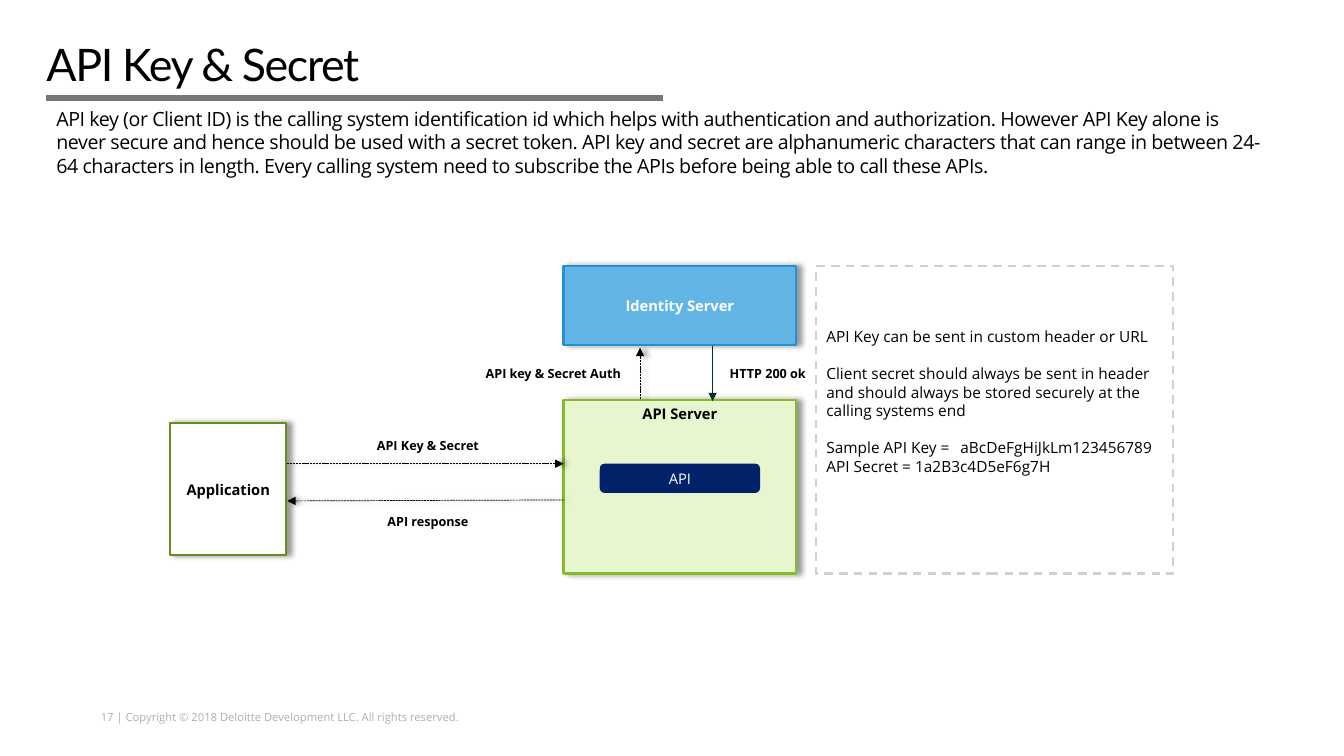
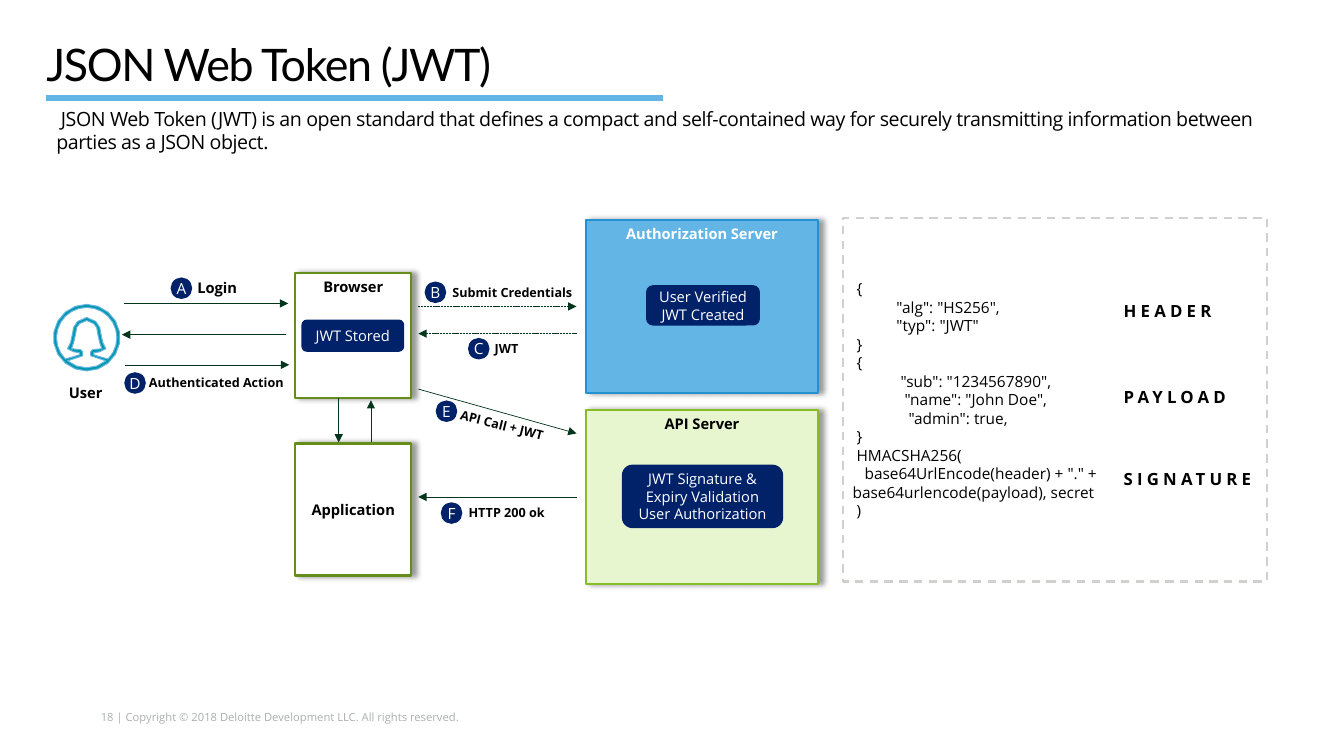
from dataclasses import dataclass
from math import cos, radians, sin

from lxml.etree import SubElement
from pptx import Presentation
from pptx.dml.color import RGBColor
from pptx.enum.dml import MSO_LINE
from pptx.enum.shapes import MSO_CONNECTOR, MSO_SHAPE
from pptx.enum.text import MSO_ANCHOR, PP_ALIGN
from pptx.oxml.ns import qn
from pptx.util import Inches, Pt


@dataclass(frozen=True)
class Theme:
    title_font: str = "Lato"
    body_font: str = "Open Sans"
    black: str = "000000"
    white: str = "FFFFFF"
    grey: str = "75787B"
    footer_grey: str = "ACAEB0"
    frame_grey: str = "D0D0CE"
    blue: str = "62B5E5"
    blue_edge: str = "2392D2"
    navy: str = "012169"
    teal: str = "0097A9"
    mint: str = "E8F6CF"
    green_edge: str = "86BC25"
    olive: str = "658D1C"
    forest: str = "02351C"
    title_size: float = 32
    intro_size: float = 14
    heading_size: float = 12
    note_size: float = 11
    box_size: float = 10.5
    label_size: float = 9
    footer_size: float = 8


T = Theme()
CENTER = PP_ALIGN.CENTER
MIDDLE = MSO_ANCHOR.MIDDLE
TOP = MSO_ANCHOR.TOP
INSETS = (0.1, 0.05, 0.1, 0.05)
FLAT_SIDES = (0, 0.05, 0, 0.05)

CODE = '''\
 {
           "alg": "HS256",
           "typ": "JWT"
 }
 {
            "sub": "1234567890",
             "name": "John Doe",
              "admin": true,
 }
 HMACSHA256(
   base64UrlEncode(header) + "." + base64urlencode(payload), secret
 )'''

NOTES = (
    "API Key can be sent in custom header or URL\n"
    "Client secret should always be sent in header and should always be "
    "stored securely at the calling systems end\n"
    "Sample API Key = \taBcDeFgHiJkLm123456789\n"
    "API Secret = 1a2B3c4D5eF6g7H"
)

API_KEY_INTRO = (
    "API key (or Client ID) is the calling system identification id which helps with "
    "authentication and authorization. However API Key alone is never secure and hence "
    "should be used with a secret token. API key and secret are alphanumeric characters "
    "that can range in between 24-64 characters in length. Every calling system need to "
    "subscribe the APIs before being able to call these APIs."
)

JWT_INTRO = (
    " JSON Web Token (JWT) is an open standard that defines a compact and self-contained "
    "way for securely transmitting information between parties as a JSON object."
)


def rgb(color):
    return RGBColor.from_string(color)


def write(sp, text, size=T.box_size, color=T.black, bold=False, font=T.body_font,
          align=None, anchor=TOP, insets=INSETS, spacing=None, line_spacing=None,
          gaps=(), tab=None):
    tf = sp.text_frame
    tf.word_wrap = True
    tf.vertical_anchor = anchor
    tf.margin_left, tf.margin_top, tf.margin_right, tf.margin_bottom = map(Inches, insets)
    for i, line in enumerate(text.split("\n")):
        p = tf.paragraphs[0] if i == 0 else tf.add_paragraph()
        p.alignment = align or PP_ALIGN.LEFT
        if line_spacing:
            p.line_spacing = line_spacing
        if i in gaps:
            p.space_before = Pt(size * 1.2)
        if tab and "\t" in line:
            tabs = SubElement(p._p.get_or_add_pPr(), qn("a:tabLst"))
            SubElement(tabs, qn("a:tab"), pos=str(Inches(tab)), algn="l")
        r = p.add_run()
        r.text = line
        r.font.name, r.font.size, r.font.bold = font, Pt(size), bold
        r.font.color.rgb = rgb(color)
        if spacing:
            r._r.get_or_add_rPr().set("spc", str(round(spacing * 100)))


def add_text(s, x, y, w, h, text, **fmt):
    sp = s.shapes.add_textbox(Inches(x), Inches(y), Inches(w), Inches(h))
    write(sp, text, **fmt)
    return sp


def add_label(s, x, y, text, w=1.76, **fmt):
    return add_text(s, x, y, w, 0.25, text, **{"size": T.label_size, "bold": True, **fmt})


def cast_shadow(effects):
    shadow = SubElement(effects, qn("a:outerShdw"), blurRad=str(Pt(4)), dist=str(Pt(3)),
                        dir="0", algn="l", rotWithShape="0")
    color = SubElement(shadow, qn("a:srgbClr"), val=T.black)
    SubElement(color, qn("a:alpha"), val="40000")


def paint(sp, fill=None, edge=None, width=1.5, dash=None, shadow=False):
    if fill:
        sp.fill.solid()
        sp.fill.fore_color.rgb = rgb(fill)
    else:
        sp.fill.background()
    if edge:
        sp.line.color.rgb = rgb(edge)
        sp.line.width = Pt(width)
        if dash:
            sp.line.dash_style = dash
    else:
        sp.line.fill.background()
    sp.shadow.inherit = False
    if shadow:
        cast_shadow(sp.element.spPr.find(qn("a:effectLst")))


def add_shape(s, kind, x, y, w, h, **look):
    sp = s.shapes.add_shape(kind, Inches(x), Inches(y), Inches(w), Inches(h))
    paint(sp, **look)
    return sp


def add_node(s, x, y, w, h, text, fill=T.white, edge=T.olive, color=T.black, anchor=TOP):
    sp = add_shape(s, MSO_SHAPE.RECTANGLE, x, y, w, h, fill=fill, edge=edge, shadow=True)
    write(sp, text, color=color, bold=True, align=CENTER, anchor=anchor, insets=FLAT_SIDES)


def add_pill(s, x, y, w, h, text, kind=MSO_SHAPE.FLOWCHART_ALTERNATE_PROCESS):
    sp = add_shape(s, kind, x, y, w, h, fill=T.navy)
    write(sp, text, color=T.white, align=CENTER, anchor=MIDDLE)


def add_frame(s, x, y, w, h, text, **fmt):
    sp = add_shape(s, MSO_SHAPE.RECTANGLE, x, y, w, h, edge=T.frame_grey, dash=MSO_LINE.DASH)
    write(sp, text, size=T.note_size, anchor=MIDDLE, **fmt)


def add_line(s, x1, y1, x2, y2, color=T.forest, width=0.5, dashed=False,
             arrow=True, shadow=False):
    cn = s.shapes.add_connector(MSO_CONNECTOR.STRAIGHT, Inches(x1), Inches(y1),
                                Inches(x2), Inches(y2))
    cn.line.color.rgb = rgb(color)
    cn.line.width = Pt(width)
    if dashed:
        cn.line.dash_style = MSO_LINE.SQUARE_DOT
    if arrow:
        SubElement(cn.line._get_or_add_ln(), qn("a:tailEnd"), type="triangle")
    effects = SubElement(cn.element.spPr, qn("a:effectLst"))
    if shadow:
        cast_shadow(effects)


def add_step(s, letter, x, y, text, label_at=None, turn=0, size=T.label_size):
    label_x, label_y = label_at or (x + 0.17, y - 0.03)
    add_label(s, label_x, label_y, text, size=size).rotation = turn
    badge = add_shape(s, MSO_SHAPE.OVAL, x, y, 0.2, 0.2, fill=T.navy, edge=T.navy, width=1)
    write(badge, letter, size=T.note_size, color=T.white, align=CENTER, anchor=MIDDLE,
          insets=(0, 0, 0, 0))


def arc(radius, start, end, step):
    return [(radius * sin(radians(a)), -radius * cos(radians(a)))
            for a in range(start, end + 1, step)]


def add_user_icon(s, cx, cy):
    hair = [(0.13, 0.19), (0.07, 0.17), (0.07, 0.15), (0.13, 0.14), (0.19, 0.11),
            (0.16, 0.05), (0.14, -0.04), (0.13, -0.1), (0.09, -0.16), (0, -0.2)]
    face = [(0, -0.17), (0.07, -0.14), (0.1, -0.1), (0.11, -0.04), (0.13, 0.05),
            (0.15, 0.11), (0.06, 0.12), (0.04, 0.14), (0.04, 0.18), (0.13, 0.21),
            (0.19, 0.23)]
    right_halves = [arc(0.33, 0, 180, 20), arc(0.3, 0, 135, 15) + hair,
                    face + arc(0.3, 160, 180, 20)]
    outline = None
    for half in right_halves:
        whole = half + [(-x, y) for x, y in reversed(half[1:-1])]
        points = [(Inches(cx + x), Inches(cy + y)) for x, y in whole]
        if outline is None:
            outline = s.shapes.build_freeform(*points[0])
        else:
            outline.move_to(*points[0])
        outline.add_line_segments(points[1:], close=True)
    paint(outline.convert_to_shape(), fill=T.teal, edge=T.blue, width=0.75)


def start_slide(prs, number, title, intro, rule_color):
    s = prs.slides.add_slide(prs.slide_layouts[6])
    add_text(s, 1, 7.05, 3.66, 0.13,
             f"{number} | Copyright © 2018 Deloitte Development LLC. All rights reserved.",
             size=T.footer_size, color=T.footer_grey, insets=(0, 0, 0, 0))
    add_text(s, 0.46, 0.42, 12.22, 0.65, title, size=T.title_size, font=T.title_font,
             spacing=-1, line_spacing=0.8, insets=(0, 0.05, 0, 0))
    add_text(s, 0.46, 1.01, 12.22, 0.36, intro, size=T.intro_size, spacing=-0.3)
    add_line(s, 0.46, 0.97, 6.58, 0.97, color=rule_color, width=4.5, arrow=False)
    return s


def api_key_slide(prs):
    s = start_slide(prs, 17, "API Key & Secret", API_KEY_INTRO, T.grey)
    add_node(s, 1.69, 4.2, 1.15, 1.31, "Application", anchor=MIDDLE)
    add_node(s, 5.59, 2.64, 2.31, 0.78, "Identity Server", T.blue, T.blue_edge, T.white, MIDDLE)
    add_node(s, 5.59, 3.97, 2.31, 1.72, "API Server", T.mint, T.green_edge)
    add_frame(s, 8.1, 2.64, 3.54, 3.05, NOTES, insets=(0.1, 0.05, 0.1, 0.42),
              gaps=(1, 2), tab=1.33)
    for ends in ((2.85, 4.6, 5.59, 4.6), (5.59, 4.96, 2.85, 4.97), (6.35, 3.96, 6.35, 3.45)):
        add_line(s, *ends, color=T.black, dashed=True, shadow=True)
    add_line(s, 7.07, 3.43, 7.07, 3.98)
    add_label(s, 3.44, 4.29, "API Key & Secret", w=1.61, align=CENTER)
    add_label(s, 3.44, 5.05, "API response", w=1.61, align=CENTER)
    add_label(s, 4.72, 3.58, "API key & Secret Auth")
    add_label(s, 7.14, 3.58, "HTTP 200 ok", w=0.98)
    add_pill(s, 5.95, 4.6, 1.59, 0.29, "API", MSO_SHAPE.ROUNDED_RECTANGLE)


def jwt_slide(prs):
    s = start_slide(prs, 18, "JSON Web Token (JWT)", JWT_INTRO, T.blue)
    add_user_icon(s, 0.86, 3.35)
    add_label(s, 0.55, 3.76, "User", w=0.6, size=T.box_size, align=CENTER)
    add_node(s, 2.93, 2.71, 1.15, 1.24, "Browser")
    add_node(s, 2.93, 4.4, 1.15, 1.31, "Application", anchor=MIDDLE)
    add_node(s, 5.81, 2.18, 2.31, 1.72, "Authorization Server", T.blue, T.blue_edge, T.white)
    add_node(s, 5.81, 4.07, 2.31, 1.72, "API Server", T.mint, T.green_edge)
    add_pill(s, 2.99, 3.17, 1.02, 0.32, "JWT Stored", MSO_SHAPE.ROUNDED_RECTANGLE)
    add_pill(s, 6.41, 2.83, 1.13, 0.4, "User Verified\nJWT Created")
    add_pill(s, 6.17, 4.61, 1.6, 0.63, "JWT Signature & Expiry Validation\nUser Authorization")

    for ends in ((1.23, 3.01, 2.86, 3.01), (2.84, 3.32, 1.21, 3.32), (1.24, 3.62, 2.87, 3.62),
                 (3.36, 3.95, 3.36, 4.39), (3.68, 4.39, 3.68, 3.97),
                 (4.15, 3.86, 5.72, 4.3), (5.72, 4.93, 4.15, 4.93)):
        add_line(s, *ends)
    for ends in ((4.15, 3.04, 5.72, 3.04), (5.72, 3.31, 4.15, 3.31)):
        add_line(s, *ends, dashed=True)

    add_step(s, "A", 1.7, 2.76, "Login", label_at=(1.86, 2.72), size=T.box_size)
    add_step(s, "B", 4.22, 2.8, "Submit Credentials", label_at=(4.39, 2.78))
    add_step(s, "C", 4.65, 3.36, "JWT", label_at=(4.81, 3.33))
    add_step(s, "D", 1.24, 3.7, "Authenticated Action", label_at=(1.38, 3.67))
    add_step(s, "E", 4.33, 3.98, "API Call + JWT", label_at=(4.45, 4.18), turn=14.1)
    add_step(s, "F", 4.38, 4.99, "HTTP 200 ok")

    add_frame(s, 8.36, 2.16, 4.21, 3.61, CODE)
    for y, part in ((2.93, "HEADER"), (3.79, "PAYLOAD"), (4.6, "SIGNATURE")):
        add_label(s, 11.05, y, part, size=T.heading_size, spacing=3)


def main():
    prs = Presentation()
    prs.slide_width, prs.slide_height = Inches(40 / 3), Inches(7.5)
    api_key_slide(prs)
    jwt_slide(prs)
    prs.save("out.pptx")


if __name__ == "__main__":
    main()
